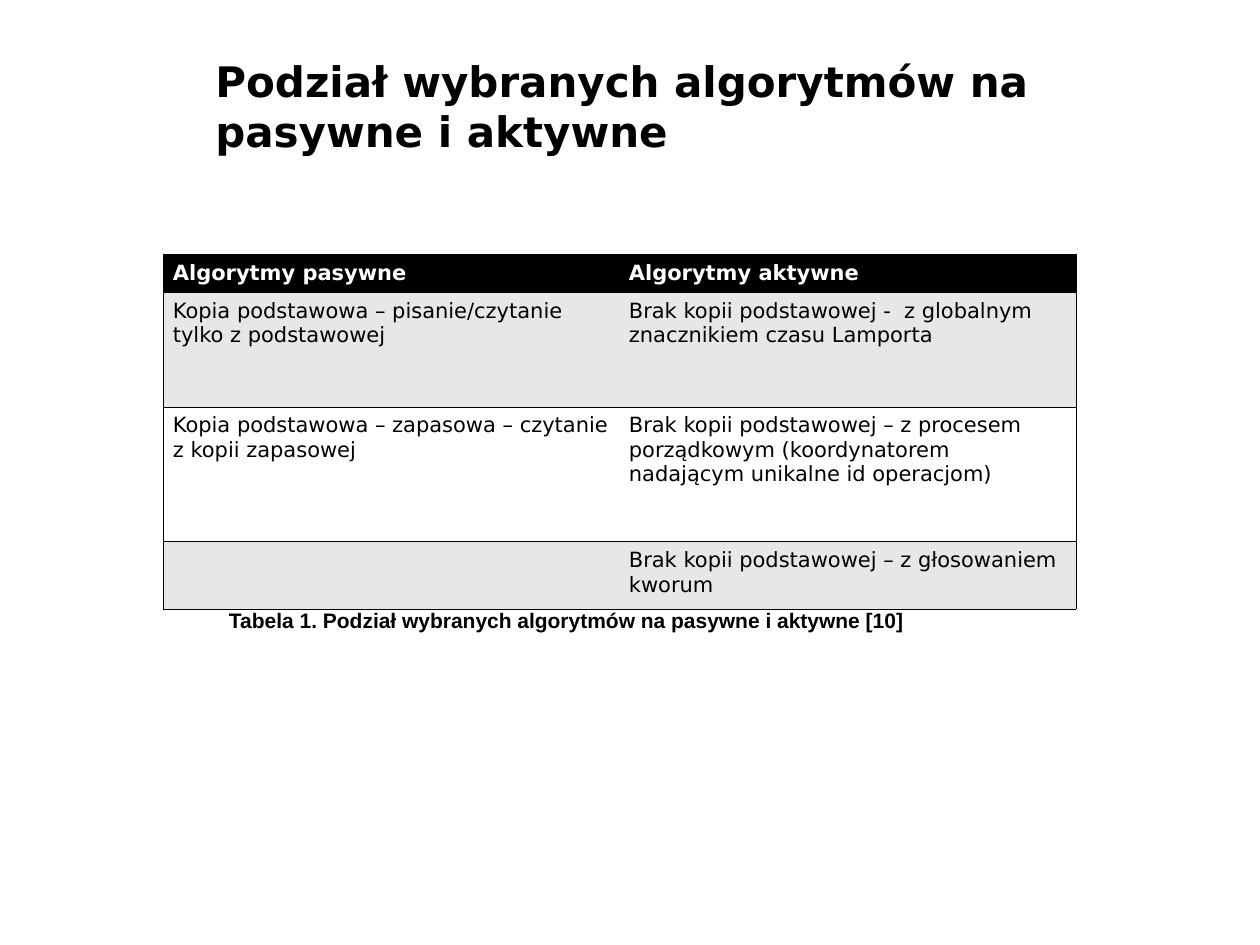
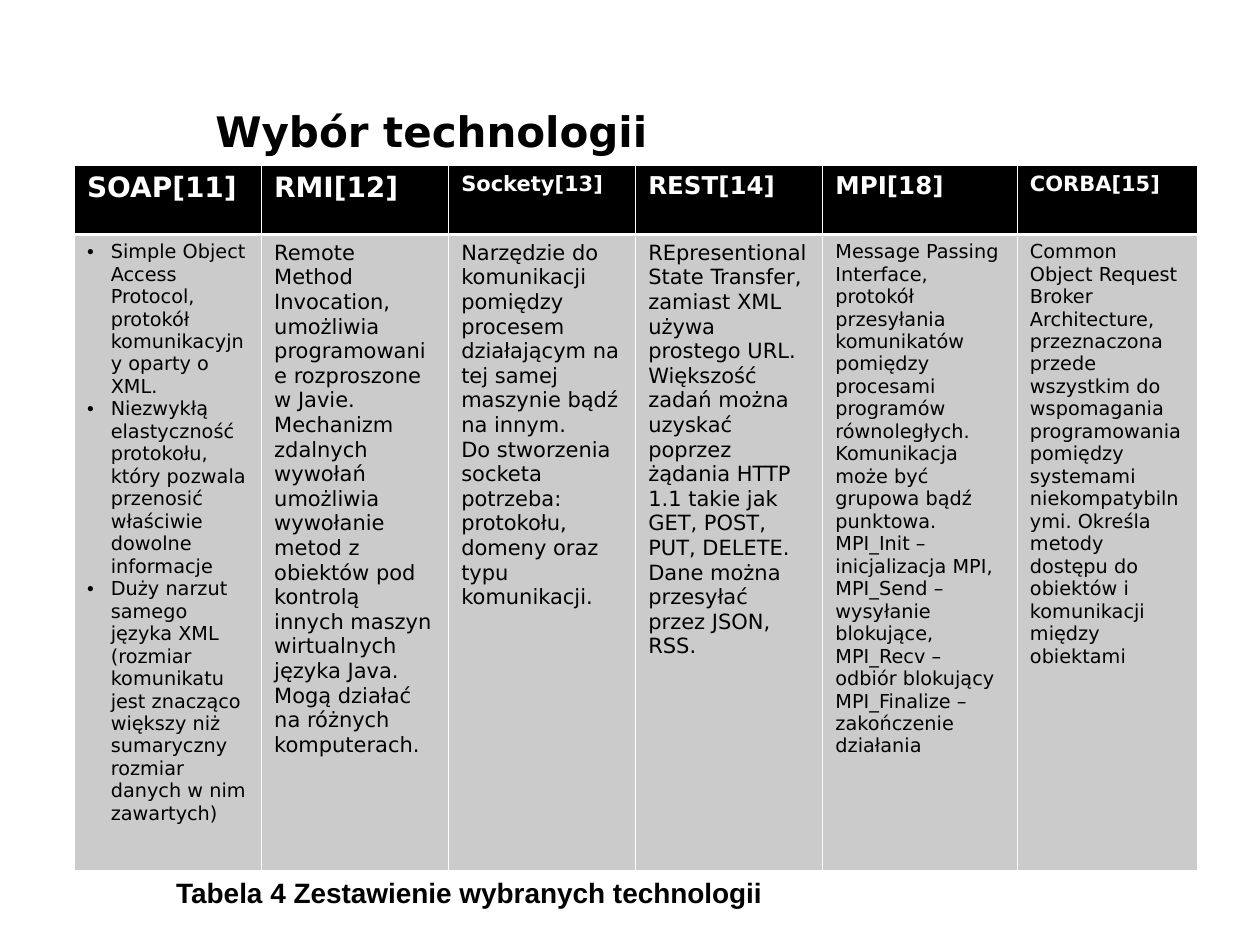
from dataclasses import dataclass

from lxml.etree import SubElement
from pptx import Presentation
from pptx.dml.color import RGBColor
from pptx.enum.text import MSO_ANCHOR, MSO_AUTO_SIZE
from pptx.oxml.ns import qn
from pptx.util import Pt


@dataclass(frozen=True)
class Theme:
    black: str = "000000"
    white: str = "FFFFFF"
    pale: str = "E7E7E7"
    grey: str = "CBCBCB"
    body: str = "DejaVu Sans"
    label: str = "Arial"
    title: int = 24
    large: int = 16
    medium: int = 14
    normal: int = 12
    small: int = 11
    thin: float = 0.45
    thick: float = 1.47


theme = Theme()


def write(frame, lines, size, color=theme.black, bold=False, name=theme.body, bullet=False):
    look = {"size": Pt(size), "bold": bold, "name": name}
    for i, line in enumerate(lines):
        para = frame.add_paragraph() if i else frame.paragraphs[0]
        if bullet:
            props = para._p.get_or_add_pPr()
            props.set("marL", str(Pt(13.5)))
            props.set("indent", str(-Pt(13.5)))
            SubElement(props, qn("a:buFont"), typeface=theme.label)
            SubElement(props, qn("a:buChar"), char="•")
        run = para.add_run()
        run.text = line
        for key, value in look.items():
            setattr(run.font, key, value)
        run.font.color.rgb = RGBColor.from_string(color)


def paint(cell, fill, color, edges):
    """Fill a cell and draw its edges; edges maps L, R, T, B to widths, 0 for none."""
    cell.fill.solid()
    cell.fill.fore_color.rgb = RGBColor.from_string(fill)
    props = cell._tc.get_or_add_tcPr()
    for i, side in enumerate("LRTB"):
        line = SubElement(props, qn(f"a:ln{side}"), w=str(Pt(edges[side])))
        if edges[side]:
            solid = SubElement(line, qn("a:solidFill"))
            SubElement(solid, qn("a:srgbClr"), val=color)
        else:
            SubElement(line, qn("a:noFill"))
        props.insert(i, line)


deck = Presentation()
deck.slide_width, deck.slide_height = Pt(720), Pt(540)

# Each page: title, room under the title, table place, columns, rows, caption
pages = [
    ("Podział wybranych algorytmów na pasywne i aktywne", 32,
     (93.6, 145.4), [260.6] * 2, [19.5, 65.5, 77, 38.5],
     "Tabela 1. Podział wybranych algorytmów na pasywne i aktywne [10]",
     theme.normal, (123.8, 343.4, 401, 36), False),
    ("Wybór technologii", 3.6,
     (42.6, 94.6), [106.9] * 4 + [111.2, 102.7], [39.4, 363.2],
     "Tabela 4 Zestawienie wybranych technologii",
     theme.large, (93.6, 496.8, 550, 46), True),
]
grids = []
for title, room, place, cols, rows, note, size, spot, wrap in pages:
    slide = deck.slides.add_slide(deck.slide_layouts[6])
    head = slide.shapes.add_textbox(Pt(116), Pt(37.4), Pt(568), Pt(74.2)).text_frame
    head.word_wrap = True
    head.vertical_anchor = MSO_ANCHOR.MIDDLE
    head.margin_bottom = Pt(room)
    write(head, [title], theme.title, bold=True)

    area = (Pt(v) for v in (*place, sum(cols), sum(rows)))
    grid = slide.shapes.add_table(len(rows), len(cols), *area).table
    grid.first_row = grid.horz_banding = False
    for col, width in zip(grid.columns, cols):
        col.width = Pt(width)
    for row, height in zip(grid.rows, rows):
        row.height = Pt(height)
    grids.append(grid)

    foot = slide.shapes.add_textbox(*(Pt(v) for v in spot)).text_frame
    foot.word_wrap = wrap
    foot.auto_size = MSO_AUTO_SIZE.SHAPE_TO_FIT_TEXT
    write(foot, [note], size, bold=True, name=theme.label)

split, tools = grids

# Passive and active algorithms
kinds = [
    ("Algorytmy pasywne", "Algorytmy aktywne"),
    ("Kopia podstawowa – pisanie/czytanie tylko z podstawowej",
     "Brak kopii podstawowej -  z globalnym znacznikiem czasu Lamporta"),
    ("Kopia podstawowa – zapasowa – czytanie z kopii zapasowej",
     "Brak kopii podstawowej – z procesem porządkowym (koordynatorem "
     "nadającym unikalne id operacjom)"),
    ("", "Brak kopii podstawowej – z głosowaniem kworum"),
]
fills = [theme.black, theme.pale, theme.white, theme.pale]
for r, (texts, fill) in enumerate(zip(kinds, fills)):
    for c, text in enumerate(texts):
        cell = split.cell(r, c)
        cell.margin_left = cell.margin_right = Pt(5.2)
        edges = dict.fromkeys("LRTB", theme.thin)
        edges["L" if c else "R"] = 0
        paint(cell, fill, theme.black, edges)
        if text:
            color = theme.black if r else theme.white
            write(cell.text_frame, [text], theme.normal, color, bold=r == 0)

# Technologies: heading, heading size, text size, paragraphs
techs = [
    ("SOAP[11]", theme.large, theme.small, [
        "Simple Object Access Protocol, protokół komunikacyjny oparty o XML.",
        "Niezwykłą elastyczność protokołu, który pozwala przenosić właściwie "
        "dowolne informacje",
        "Duży narzut samego języka XML (rozmiar komunikatu jest znacząco większy "
        "niż sumaryczny rozmiar danych w nim zawartych)"]),
    ("RMI[12]", theme.large, theme.normal, [
        "Remote Method Invocation, umożliwia programowanie rozproszone w Javie. "
        "Mechanizm zdalnych wywołań umożliwia wywołanie metod z obiektów pod "
        "kontrolą innych maszyn wirtualnych języka Java. Mogą działać na różnych "
        "komputerach."]),
    ("Sockety[13]", theme.normal, theme.normal, [
        "Narzędzie do komunikacji pomiędzy procesem działającym na tej samej "
        "maszynie bądź na innym.",
        "Do stworzenia socketa potrzeba: protokołu, domeny oraz typu komunikacji."]),
    ("REST[14]", theme.medium, theme.normal, [
        "REpresentional State Transfer, zamiast XML używa prostego URL. Większość "
        "zadań można uzyskać poprzez żądania HTTP 1.1 takie jak GET, POST, PUT, "
        "DELETE. Dane można przesyłać przez JSON, RSS."]),
    ("MPI[18]", theme.medium, theme.small, [
        "Message Passing Interface, protokół przesyłania komunikatów pomiędzy "
        "procesami programów równoległych.",
        "Komunikacja może być grupowa bądź punktowa.",
        "MPI_Init – inicjalizacja MPI,",
        "MPI_Send – wysyłanie blokujące,",
        "MPI_Recv – odbiór blokujący",
        "MPI_Finalize – zakończenie działania"]),
    ("CORBA[15]", theme.normal, theme.small, [
        "Common Object Request Broker Architecture, przeznaczona przede wszystkim "
        "do wspomagania programowania pomiędzy systemami niekompatybilnymi. Określa "
        "metody dostępu do obiektów i komunikacji między obiektami"]),
]
edges = dict.fromkeys("LRTB", theme.thin)
for c, (name, big, size, lines) in enumerate(techs):
    top, low = tools.cell(0, c), tools.cell(1, c)
    paint(top, theme.black, theme.white, edges | {"B": theme.thick})
    paint(low, theme.grey, theme.white, edges | {"T": theme.thick})
    write(top.text_frame, [name], big, theme.white, bold=True)
    write(low.text_frame, lines, size, bullet=c == 0)

deck.save("out.pptx")
